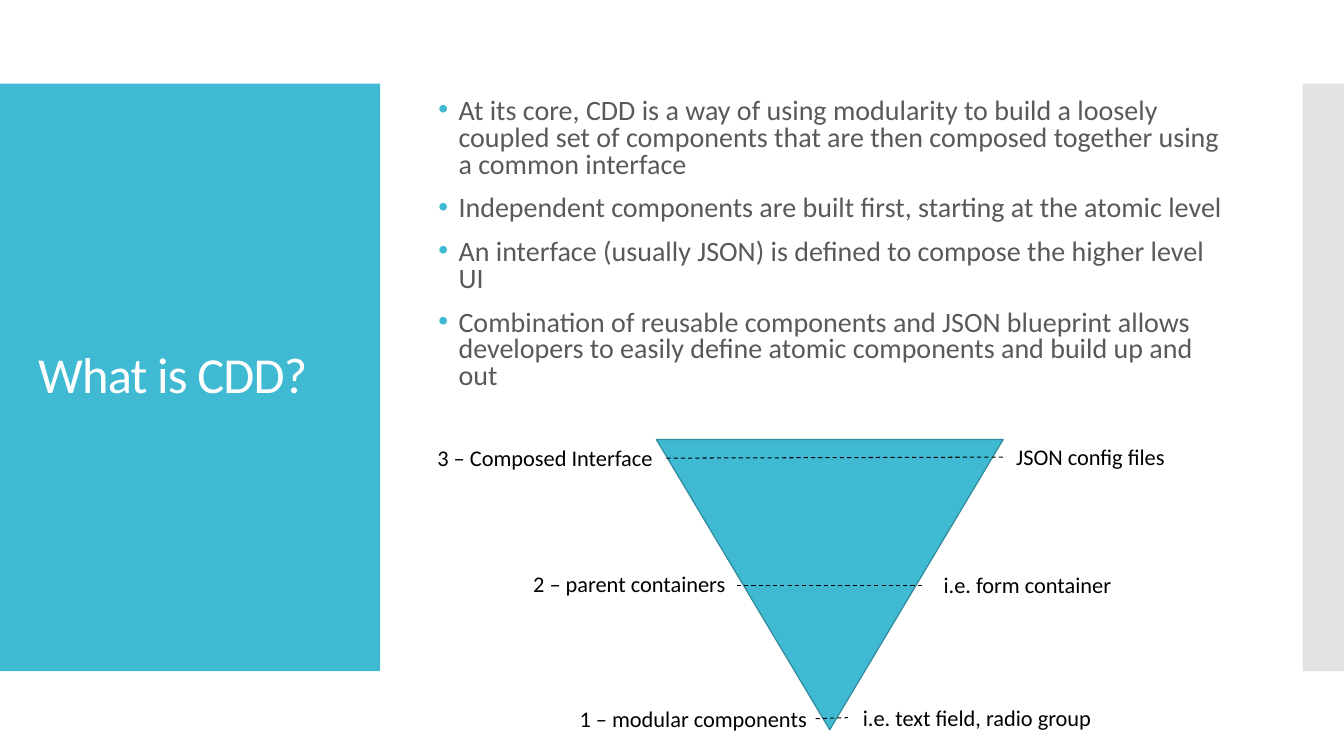
from dataclasses import dataclass

from lxml.etree import SubElement as sub
from pptx import Presentation
from pptx.dml.color import RGBColor
from pptx.enum.dml import MSO_LINE
from pptx.enum.shapes import MSO_CONNECTOR, MSO_SHAPE
from pptx.enum.text import MSO_ANCHOR
from pptx.oxml.ns import qn
from pptx.shapes.autoshape import Shape
from pptx.shapes.connector import Connector
from pptx.slide import Slide
from pptx.util import Pt

PX = 9144
FONT = "Calibri"
TEAL = RGBColor(0x40, 0xBA, 0xD2)
EDGE = RGBColor(0x2F, 0x8A, 0x9B)
SILVER = RGBColor(0xC8, 0xC8, 0xC8)
GRAY = RGBColor(0x59, 0x59, 0x59)
BLACK = RGBColor(0, 0, 0)
WHITE = RGBColor(0xFF, 0xFF, 0xFF)


@dataclass
class Box:
    """A rectangle in px."""
    left: int
    top: int
    width: int
    height: int

    def emu(self) -> list[int]:
        """Return the four lengths in EMU."""
        return [n * PX for n in (self.left, self.top, self.width, self.height)]


@dataclass
class Label:
    """A short text and its box."""
    text: str
    box: Box


@dataclass
class Level:
    """Two labels and the dashed line between them."""
    left: Label
    right: Label
    line: tuple[int, int, int, int]
    joined: bool = False


POINTS = [
    "At its core, CDD is a way of using modularity to build a loosely coupled set of "
    "components that are then composed together using a common interface",
    "Independent components are built first, starting at the atomic level",
    "An interface (usually JSON) is defined to compose the higher level UI",
    "Combination of reusable components and JSON blueprint allows developers to easily "
    "define atomic components and build up and out",
]
LEVELS = [
    Level(Label("3 – Composed Interface", Box(424, 436, 237, 37)),
          Label("JSON config files", Box(998, 435, 178, 37)),
          (661, 454, 998, 453), True),
    Level(Label("2 – parent containers", Box(519, 561, 237, 37)),
          Label("i.e. form container", Box(926, 562, 237, 37)),
          (731, 581, 917, 581)),
    Level(Label("1 – modular components", Box(565, 695, 249, 37)),
          Label("i.e. text field, radio group", Box(846, 694, 253, 37)),
          (809, 713, 841, 712)),
]


def add_form(slide: Slide, kind: MSO_SHAPE, box: Box, fill: RGBColor) -> Shape:
    """Draw a filled shape without outline."""
    form = slide.shapes.add_shape(kind, *box.emu())
    form.shadow.inherit = False
    form.fill.solid()
    form.fill.fore_color.rgb = fill
    form.line.fill.background()
    return form


def add_text(slide: Slide, text: str, box: Box, size: int, color: RGBColor) -> Shape:
    """Write wrapped text in a box."""
    shape = slide.shapes.add_textbox(*box.emu())
    frame = shape.text_frame
    frame.word_wrap = True
    frame.text = text
    for para in frame.paragraphs:
        for run in para.runs:
            run.font.name = FONT
            run.font.size = Pt(size)
            run.font.color.rgb = color
    return shape


def add_title(slide: Slide) -> None:
    """Write the slide title."""
    frame = add_text(slide, "What is CDD?", Box(28, 123, 322, 503), 36, WHITE).text_frame
    frame.vertical_anchor = MSO_ANCHOR.MIDDLE
    para = frame.paragraphs[0]
    para.line_spacing = 0.9
    para.runs[0].font._element.set("spc", "-60")


def add_points(slide: Slide) -> None:
    """Write the bullet list."""
    frame = add_text(slide, "\n".join(POINTS), Box(425, 90, 800, 331), 20, GRAY).text_frame
    frame.margin_top = 8 * PX
    for row, para in enumerate(frame.paragraphs):
        para.line_spacing = 0.8
        para.space_before = Pt(12 if row else 0)
        props = para._p.get_or_add_pPr()
        props.set("marL", str(20 * PX))
        props.set("indent", str(-20 * PX))
        tint = sub(props, qn("a:buClr"))
        sub(tint, qn("a:srgbClr"), val=str(TEAL))
        sub(props, qn("a:buFont"), typeface="Arial")
        sub(props, qn("a:buChar"), char="•")


def add_dash(slide: Slide, ends: tuple[int, int, int, int]) -> Connector:
    """Draw a thin dashed line."""
    dash = slide.shapes.add_connector(MSO_CONNECTOR.STRAIGHT, *[n * PX for n in ends])
    dash.line.color.rgb = BLACK
    dash.line.width = Pt(0.75)
    dash.line.dash_style = MSO_LINE.DASH
    sub(dash._element.spPr, qn("a:effectLst"))
    return dash


def add_level(slide: Slide, level: Level) -> None:
    """Draw one level of the pyramid."""
    left, right = [add_text(slide, side.text, side.box, 16, BLACK)
                   for side in (level.left, level.right)]
    dash = add_dash(slide, level.line)
    if level.joined:
        dash.begin_connect(left, 3)
        dash.end_connect(right, 1)


def main() -> None:
    """Build and save the slide."""
    deck = Presentation()
    deck.slide_width, deck.slide_height = 1333 * PX, 750 * PX
    slide = deck.slides.add_slide(deck.slide_layouts[6])
    add_form(slide, MSO_SHAPE.RECTANGLE, Box(0, 83, 377, 583), TEAL)
    strip = add_form(slide, MSO_SHAPE.RECTANGLE, Box(1292, 83, 41, 583), SILVER)
    tone = strip._element.spPr.find(qn("a:solidFill")).find(qn("a:srgbClr"))
    sub(tone, qn("a:alpha"), val="50000")
    add_title(slide)
    add_points(slide)
    funnel = add_form(slide, MSO_SHAPE.FLOWCHART_MERGE, Box(651, 436, 344, 288), TEAL)
    funnel.line.color.rgb = EDGE
    funnel.line.width = Pt(0.85)
    for level in LEVELS:
        add_level(slide, level)
    deck.save("out.pptx")


if __name__ == "__main__":
    main()
